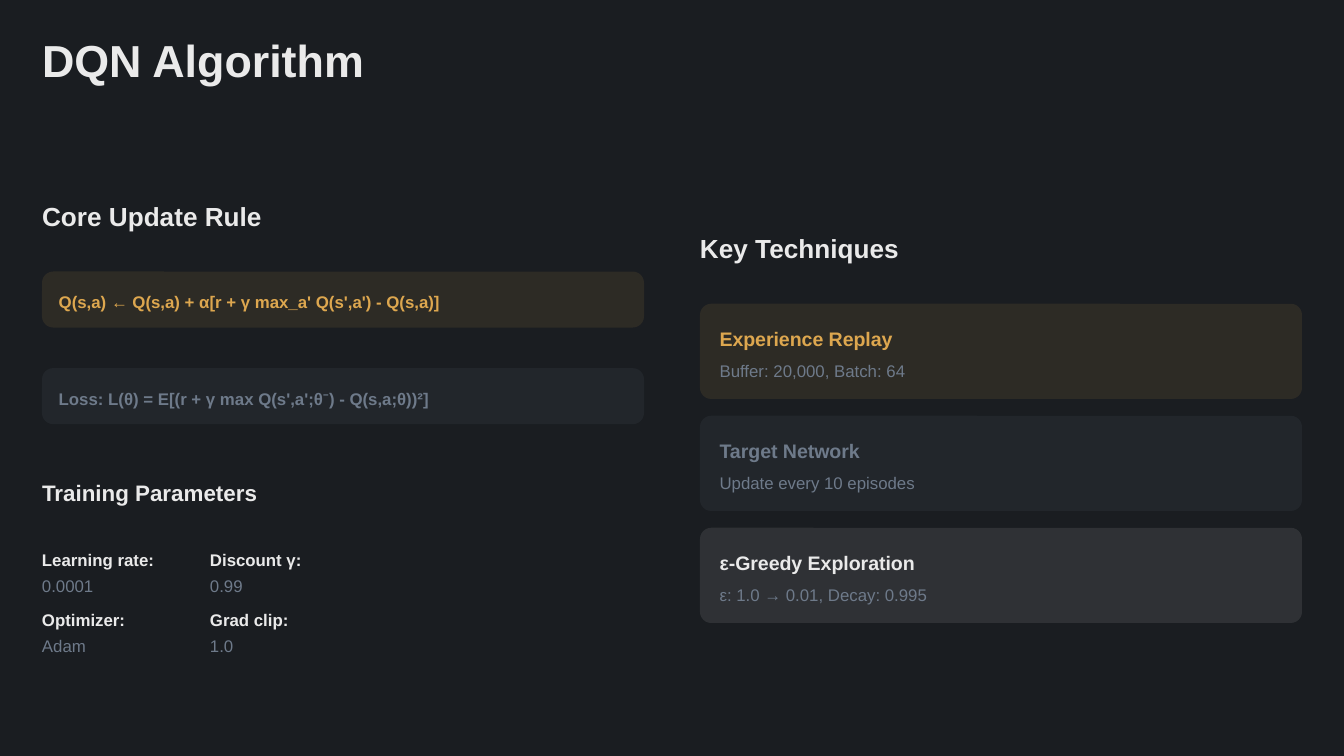
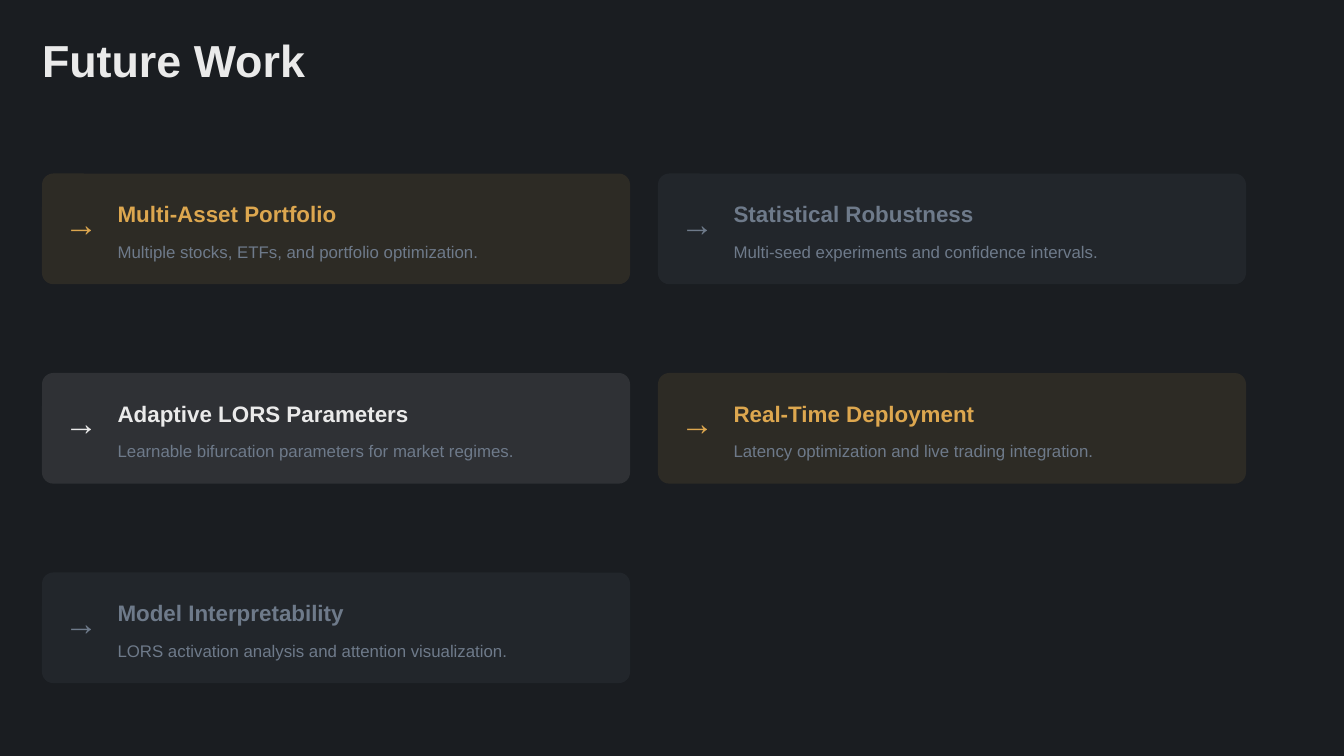
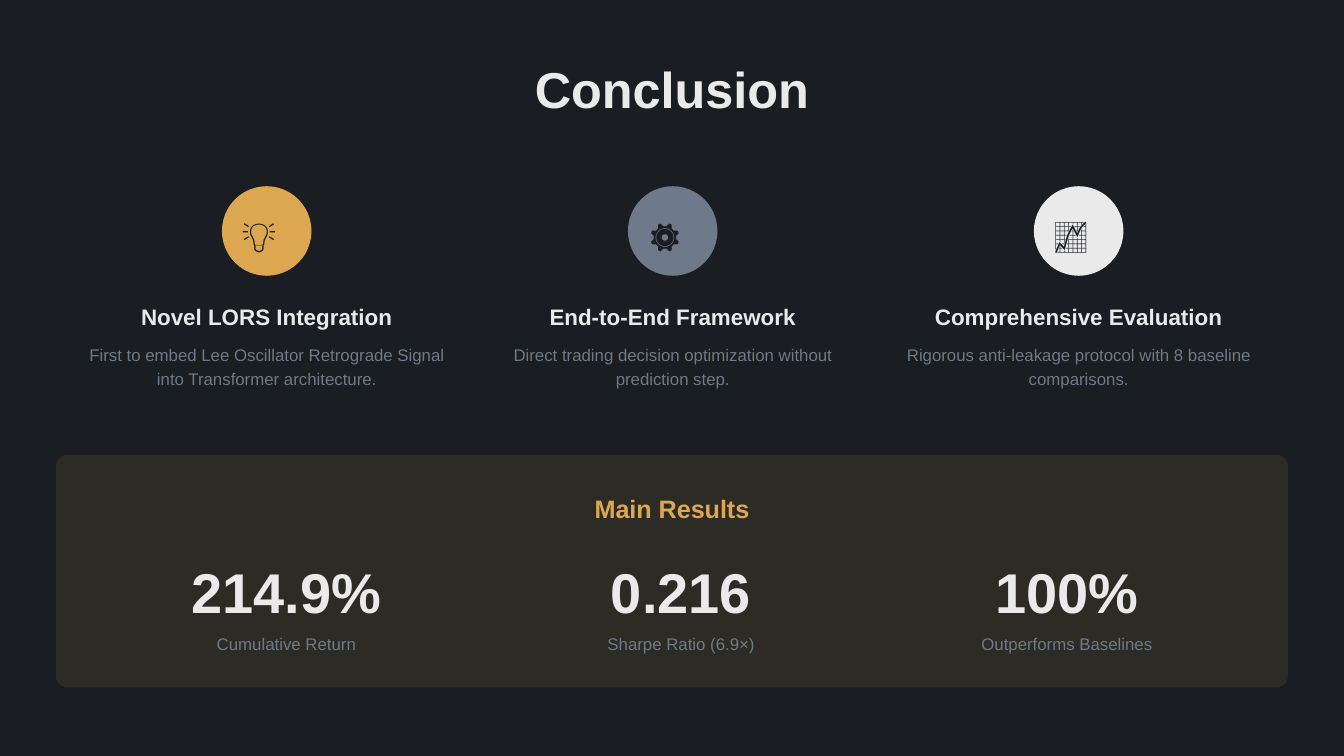
from dataclasses import dataclass

from lxml import etree
from pptx import Presentation
from pptx.dml.color import RGBColor
from pptx.enum.shapes import MSO_SHAPE
from pptx.enum.text import MSO_ANCHOR, MSO_AUTO_SIZE, PP_ALIGN
from pptx.oxml.ns import qn
from pptx.util import Pt

ROUNDED = MSO_SHAPE.ROUNDED_RECTANGLE
TOP = MSO_ANCHOR.TOP
NO_AUTOFIT = MSO_AUTO_SIZE.NONE
LEFT, CENTER = PP_ALIGN.LEFT, PP_ALIGN.CENTER

PX = 9525  # 96 px to the inch
PX_PER_POINT = 96 / 72
SLIDE_WIDTH, SLIDE_HEIGHT = 960, 540
MARGIN = 30
TITLE_ONLY = 5


@dataclass(frozen=True)
class Theme:
    font: str = "Arial"
    background: str = "1A1D21"
    gold: str = "DDA74F"
    slate: str = "6E7A8A"
    light: str = "EAEAEA"
    title: float = 24
    closing_title: float = 27
    section: float = 14
    results: float = 13.5
    heading: float = 12
    card_heading: float = 10.5
    body: float = 9
    icon: float = 18
    figure: float = 30
    leading: float = 1.4
    tint: int = 10
    radius: int = 8


THEME = Theme()

# Content
FORMULAS = [
    ("Q(s,a) ← Q(s,a) + α[r + γ max_a' Q(s',a') - Q(s,a)]", THEME.gold),
    ("Loss: L(θ) = E[(r + γ max Q(s',a';θ⁻) - Q(s,a;θ))²]", THEME.slate),
]
# Each column: text width, then its (name, value) pairs
PARAMETER_COLUMNS = [
    (82, [("Learning rate:", "0.0001"), ("Optimizer:", "Adam")]),
    (66, [("Discount γ:", "0.99"), ("Grad clip:", "1.0")]),
]
TECHNIQUES = [
    ("Experience Replay", "Buffer: 20,000, Batch: 64", THEME.gold),
    ("Target Network", "Update every 10 episodes", THEME.slate),
    ("ε-Greedy Exploration", "ε: 1.0 → 0.01, Decay: 0.995", THEME.light),
]
# Heading, detail, colour, text width
FUTURE_WORK = [
    ("Multi-Asset Portfolio", "Multiple stocks, ETFs, and portfolio optimization.", THEME.gold, 263),
    ("Statistical Robustness", "Multi-seed experiments and confidence intervals.", THEME.slate, 265),
    ("Adaptive LORS Parameters", "Learnable bifurcation parameters for market regimes.", THEME.light, 288),
    ("Real-Time Deployment", "Latency optimization and live trading integration.", THEME.gold, 262),
    ("Model Interpretability", "LORS activation analysis and attention visualization.", THEME.slate, 284),
]
CONTRIBUTIONS = [
    ("💡", "Novel LORS Integration",
     "First to embed Lee Oscillator Retrograde Signal into Transformer architecture.", THEME.gold),
    ("⚙️", "End-to-End Framework",
     "Direct trading decision optimization without prediction step.", THEME.slate),
    ("📈", "Comprehensive Evaluation",
     "Rigorous anti-leakage protocol with 8 baseline comparisons.", THEME.light),
]
# Figure, label, text width
RESULTS = [
    ("214.9%", "Cumulative Return", 138),
    ("0.216", "Sharpe Ratio (6.9×)", 108),
    ("100%", "Outperforms Baselines", 125),
]


# Shared parts
def place(shape, left, top, width, height):
    shape.left, shape.top = round(left * PX), round(top * PX)
    shape.width, shape.height = round(width * PX), round(height * PX)


def write(shape, text, size, color, bold, align, leading):
    frame = shape.text_frame
    frame.word_wrap = True
    frame.auto_size = NO_AUTOFIT
    frame.vertical_anchor = TOP
    frame.margin_left = frame.margin_right = 0
    frame.margin_top = frame.margin_bottom = 0
    paragraph = frame.paragraphs[0]
    paragraph.alignment = align
    paragraph.line_spacing = Pt(size * leading)
    run = paragraph.add_run()
    run.text = text
    run.font.name = THEME.font
    run.font.size = Pt(size)
    run.font.bold = bold
    run.font.color.rgb = RGBColor.from_string(color)


def add_text(slide, text, left, top, width, size=THEME.body, color=THEME.slate,
             bold=False, align=LEFT, leading=THEME.leading, lines=1):
    box = slide.shapes.add_textbox(0, 0, 0, 0)
    place(box, left, top, width, size * leading * lines * PX_PER_POINT)
    write(box, text, size, color, bold, align, leading)


def add_card(slide, left, top, width, height, color, radius=THEME.radius, opacity=THEME.tint):
    card = slide.shapes.add_shape(ROUNDED, 0, 0, 0, 0)
    place(card, left, top, width, height)
    card.adjustments[0] = radius / min(width, height)
    card.shadow.inherit = False
    card.line.fill.background()
    card.fill.solid()
    card.fill.fore_color.rgb = RGBColor.from_string(color)
    if opacity < 100:
        solid = card.fill._xPr.find(qn("a:solidFill"))
        etree.SubElement(solid[0], qn("a:alpha"), val=str(opacity * 1000))


def add_slide(presentation, title, left=MARGIN, top=MARGIN, width=460, size=THEME.title, align=LEFT):
    slide = presentation.slides.add_slide(presentation.slide_layouts[TITLE_ONLY])
    place(slide.shapes.title, left, top, width, size * PX_PER_POINT)
    write(slide.shapes.title, title, size, THEME.light, True, align, 1)
    return slide


# Slides
def build_algorithm(presentation):
    slide = add_slide(presentation, "DQN Algorithm")
    right, card_width, heading_width = 500, 430, 439

    for text, left, top, size, leading in [
        ("Core Update Rule", MARGIN, 143, THEME.section, 1.2),
        ("Training Parameters", MARGIN, 339, THEME.heading, THEME.leading),
        ("Key Techniques", right, 166, THEME.section, 1.2),
    ]:
        add_text(slide, text, left, top, heading_width, size=size, color=THEME.light,
                 bold=True, leading=leading)

    for index, (formula, color) in enumerate(FORMULAS):
        top = 194 + index * 69
        add_card(slide, MARGIN, top, card_width, 40, color)
        add_text(slide, formula, MARGIN + 12, top + 12, 414, color=color, bold=True)

    for column, (width, parameters) in enumerate(PARAMETER_COLUMNS):
        left = MARGIN + column * 120
        for row, (name, value) in enumerate(parameters):
            top = 390 + row * 43
            add_text(slide, name, left, top, width, color=THEME.light, bold=True)
            add_text(slide, value, left, top + 19, width)

    for index, (heading, detail, color) in enumerate(TECHNIQUES):
        top = 217 + index * 80
        add_card(slide, right, top, card_width, 68, color)
        add_text(slide, heading, right + 14, top + 14, 410, size=THEME.card_heading,
                 color=color, bold=True)
        add_text(slide, detail, right + 14, top + 38, 410)


def build_future_work(presentation):
    slide = add_slide(presentation, "Future Work")
    card_width, card_height, gap = 420, 79, 20
    grid_top, grid_bottom, columns = 124, 488, 2
    rows = -(-len(FUTURE_WORK) // columns)
    row_step = (grid_bottom - grid_top - card_height) / (rows - 1)

    for index, (heading, detail, color, text_width) in enumerate(FUTURE_WORK):
        row, column = divmod(index, columns)
        left = MARGIN + column * (card_width + gap)
        top = grid_top + row * row_step
        add_card(slide, left, top, card_width, card_height, color)
        add_text(slide, "→", left + 16, top + 16, 25, size=THEME.icon, color=color)
        add_text(slide, heading, left + 54, top + 16, text_width, size=THEME.heading,
                 color=color, bold=True)
        add_text(slide, detail, left + 54, top + 46, text_width)


def build_conclusion(presentation):
    slide = add_slide(presentation, "Conclusion", left=255, top=49, width=450,
                      size=THEME.closing_title, align=CENTER)

    # Contributions, each under a round icon
    column_width, circle = 265, 64
    for index, (icon, heading, detail, color) in enumerate(CONTRIBUTIONS):
        left = 58 + index * 290
        circle_left = left + (column_width - circle) / 2
        add_card(slide, circle_left, 133, circle, circle, color, radius=circle / 2, opacity=100)
        add_text(slide, icon, circle_left + 11, 148, 31, size=THEME.icon,
                 color=THEME.background, align=CENTER)
        add_text(slide, heading, left, 213, column_width, size=THEME.heading,
                 color=THEME.light, bold=True, align=CENTER)
        add_text(slide, detail, left, 244, column_width, align=CENTER, lines=2)

    # Results panel, with equal space around each figure
    inner_left, inner_width = 56, 848
    add_card(slide, 40, 325, 880, 166, THEME.gold)
    add_text(slide, "Main Results", inner_left, 349, inner_width, size=THEME.results,
             color=THEME.gold, bold=True, align=CENTER)
    free_width = inner_width - sum(width for _, _, width in RESULTS)
    space = free_width / (2 * len(RESULTS))
    left = inner_left + space
    for figure, label, width in RESULTS:
        add_text(slide, figure, left, 390, width, size=THEME.figure, color=THEME.light,
                 bold=True, align=CENTER)
        add_text(slide, label, left, 450, width, align=CENTER)
        left += width + 2 * space


def main():
    presentation = Presentation()
    presentation.slide_width = SLIDE_WIDTH * PX
    presentation.slide_height = SLIDE_HEIGHT * PX
    background = presentation.slide_master.background.fill
    background.solid()
    background.fore_color.rgb = RGBColor.from_string(THEME.background)
    build_algorithm(presentation)
    build_future_work(presentation)
    build_conclusion(presentation)
    presentation.save("out.pptx")


if __name__ == "__main__":
    main()
